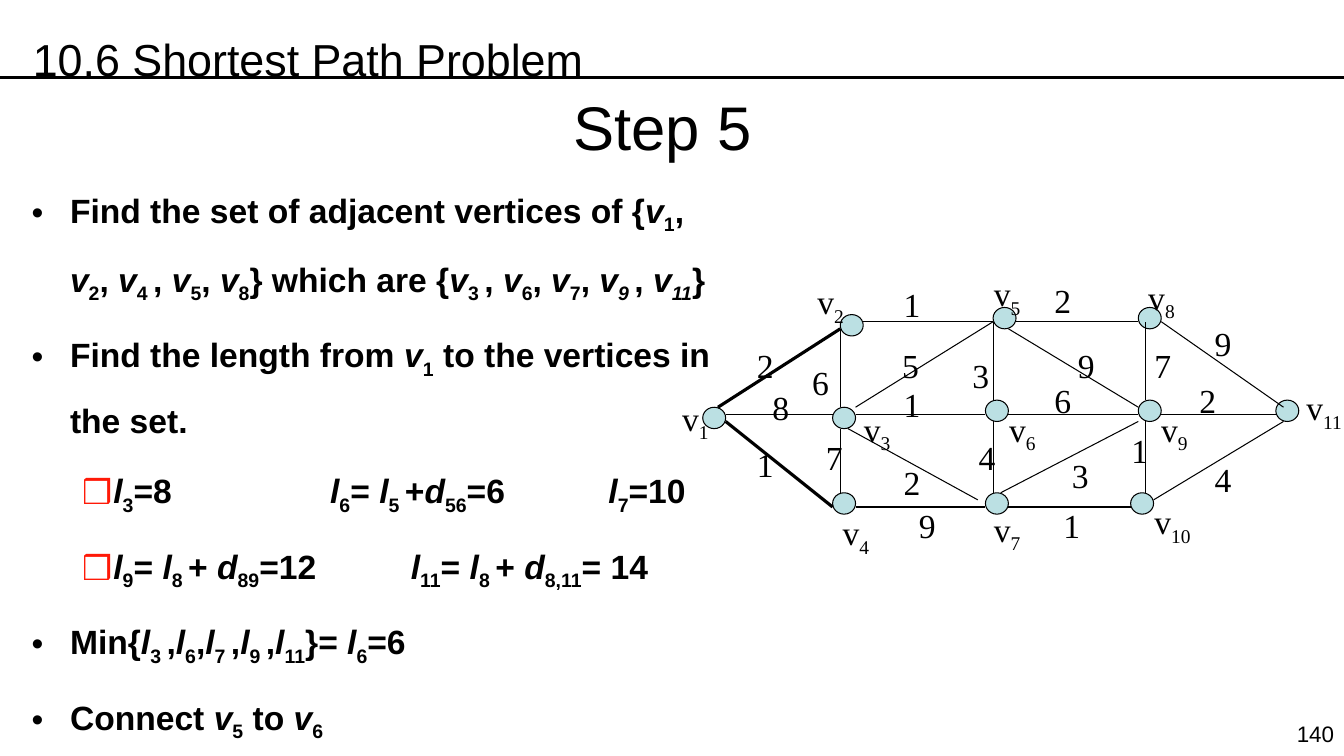
"""Build the Step 5 slide of the shortest path example."""
from dataclasses import dataclass

from lxml import etree
from pptx import Presentation
from pptx import util as u
from pptx.dml.color import RGBColor
from pptx.enum import shapes, text
from pptx.oxml import ns

INK, DISC, RED = "000000", "BBE0E3", "FF1907"
SANS, SERIF = "Arial", "Times New Roman"
LEFT, CENTER, RIGHT = text.PP_ALIGN.LEFT, text.PP_ALIGN.CENTER, text.PP_ALIGN.RIGHT
WIDE, HIGH = 13.33, 7.5


@dataclass(frozen=True)
class Grid:
    """An origin and cell size, in inches."""
    left: float
    top: float
    col: float
    row: float

    def spot(self, c: float, r: float) -> tuple:
        """Return the point at a column and row."""
        return u.Inches(self.left + c * self.col), u.Inches(self.top + r * self.row)

    def span(self, c: float, r: float) -> tuple:
        """Return the size of a number of columns and rows."""
        return u.Inches(c * self.col), u.Inches(r * self.row)


@dataclass(frozen=True)
class Edge:
    """A line between two grid points."""
    c1: float
    r1: float
    c2: float
    r2: float
    width: float = 0.75


@dataclass(frozen=True)
class Label:
    """A text at a grid point."""
    c: float
    r: float
    words: str


@dataclass(frozen=True)
class Item:
    """A list entry with its level and tab stops."""
    words: str
    level: int = 0
    tabs: tuple = ()


PAGE = Grid(0, 0, WIDE / 100, HIGH / 100)
GRAPH = Grid(6.97, 3.05, 5.76 / 76, 1.98 / 28)

NODES = [(0, 14), (18, 1), (17, 14), (38, 0), (17, 26), (56, 26),
         (57, 0), (37, 13), (57, 13), (75, 13), (37, 26)]

EDGES = [
    Edge(2, 14, 18, 3, 2.25), Edge(3, 16, 17, 28, 2.25),
    Edge(21, 2, 38, 2), Edge(41, 2, 57, 2), Edge(60, 2, 76, 14),
    Edge(3, 15, 17, 15), Edge(20, 15, 37, 15), Edge(40, 15, 57, 15), Edge(60, 15, 75, 15),
    Edge(20, 28, 37, 28), Edge(40, 28, 56, 28), Edge(59, 27, 76, 16),
    Edge(18, 26, 18, 17), Edge(18, 14, 18, 3), Edge(38, 26, 38, 16),
    Edge(38, 13, 38, 2), Edge(58, 26, 58, 16), Edge(58, 13, 58, 2),
    Edge(39, 26, 57, 16), Edge(19, 17, 36, 27), Edge(20, 14, 38, 2), Edge(40, 3, 57, 14),
]

LABELS = [
    Label(-4, 12, "v_1"), Label(13.7, -4.4, "v_2"), Label(19.8, 13.5, "v_3"),
    Label(17, 28, "v_4"), Label(36.8, -5.5, "v_5"), Label(38.8, 13.5, "v_6"),
    Label(36.8, 27.5, "v_7"), Label(57, -5, "v_8"), Label(58.7, 13.5, "v_9"),
    Label(57.8, 26.5, "v_10"), Label(77.7, 10.5, "v_11"),
    Label(5.8, 18.5, "1"), Label(7.8, 10.5, "8"), Label(5.8, 4.5, "2"),
    Label(44.7, -4.5, "2"), Label(65.7, 1.5, "9"), Label(25, -4, "1"),
    Label(25, 10, "1"), Label(44.7, 9.5, "6"), Label(63.7, 9.5, "2"),
    Label(45.9, 27, "1"), Label(65.7, 20.5, "4"), Label(14.8, 17.5, "7"),
    Label(13, 7, "6"), Label(34.8, 17.5, "4"), Label(34, 6, "3"),
    Label(54.8, 16.5, "1"), Label(57.8, 4.5, "7"), Label(27, 27, "9"),
    Label(25, 21, "2"), Label(24.8, 4.5, "5"), Label(47, 20, "3"), Label(47.8, 4.5, "9"),
]

ITEMS = [
    Item("Find the set of adjacent vertices of {/v/_1_, /v/_2_, /v/_4 _, /v/_5_, /v/_8_} "
         "which are {/v/_3 _, /v/_6_, /v/_7_, /v_9 _/, /v_11_/}"),
    Item("Find the length from /v/_1_ to the vertices in the set."),
    Item("/l/_3_=8\t/l/_6_= /l/_5 _+/d/_56_=6\t/l/_7_=10", 1, (2.96, 5.72)),
    Item("/l/_9_= /l/_8 _+ /d/_89_=12\t/l/_11_= /l/_8 _+ /d/_8,11_= 14", 1, (3.76,)),
    Item("Min{/l/_3 _,/l/_6_,/l/_7 _,/l/_9 _,/l/_11_}= /l/_6_=6"),
    Item("Connect /v/_5_ to /v/_6_"),
]


def paint(tone: str) -> RGBColor:
    """Turn a hex string into a colour."""
    return RGBColor.from_string(tone)


def style(para, size: float, face: str, bold: bool = False, align=LEFT) -> None:
    """Set the font and alignment of a paragraph."""
    para.alignment = align
    font = para.font
    font.size, font.name, font.bold = u.Pt(size), face, bold
    font.color.rgb = paint(INK)


def write(para, words: str) -> None:
    """Add runs, where / toggles italics and _ toggles subscript."""
    for i, chunk in enumerate(words.split("/")):
        for j, piece in enumerate(chunk.split("_")):
            if not piece:
                continue
            run = para.add_run()
            run.text = piece
            if i % 2:
                run.font.italic = True
            if j % 2:
                run._r.get_or_add_rPr().set("baseline", "-25000")


def place(shape, c: float, r: float, w: float, h: float) -> None:
    """Move a shape to a share of the page."""
    shape.left, shape.top = PAGE.spot(c, r)
    shape.width, shape.height = PAGE.span(w, h)
    frame = shape.text_frame
    frame.word_wrap = True
    frame.auto_size = text.MSO_AUTO_SIZE.NONE
    frame.vertical_anchor = text.MSO_ANCHOR.TOP


def mark(para, item: Item) -> None:
    """Give a list entry its indent, bullet and tabs."""
    sub = item.level > 0
    props = para._p.get_or_add_pPr()
    props.set("marL", str(u.Inches(0.81 if sub else 0.38)))
    props.set("indent", str(-u.Inches(0.31 if sub else 0.38)))
    tone = etree.SubElement(props, ns.qn("a:buClr"))
    etree.SubElement(tone, ns.qn("a:srgbClr"), val=RED if sub else INK)
    etree.SubElement(props, ns.qn("a:buChar"), char="❒" if sub else "•")
    if item.tabs:
        stops = etree.SubElement(props, ns.qn("a:tabLst"))
        for stop in item.tabs:
            etree.SubElement(stops, ns.qn("a:tab"), pos=str(u.Inches(stop)), algn="l")


def fill(frame, items: list) -> None:
    """Write the list into the body."""
    for i, item in enumerate(items):
        para = frame.add_paragraph() if i else frame.paragraphs[0]
        para.level = item.level
        para.line_spacing = 1.5
        para.space_before = u.Pt(4.8 if i else 0)
        mark(para, item)
        write(para, item.words)
        style(para, 24, SANS, bold=True)


def link(slide, grid: Grid, edge: Edge) -> None:
    """Draw a line."""
    line = slide.shapes.add_connector(
        shapes.MSO_CONNECTOR.STRAIGHT, *grid.spot(edge.c1, edge.r1), *grid.spot(edge.c2, edge.r2))
    line.line.color.rgb = paint(INK)
    line.line.width = u.Pt(edge.width)
    etree.SubElement(line._element.spPr, ns.qn("a:effectLst"))


def node(slide, c: float, r: float) -> None:
    """Draw a vertex."""
    disc = slide.shapes.add_shape(shapes.MSO_SHAPE.OVAL, *GRAPH.spot(c, r), *GRAPH.span(3, 3))
    disc.shadow.inherit = False
    disc.fill.solid()
    disc.fill.fore_color.rgb = paint(DISC)
    disc.line.color.rgb = paint(INK)
    disc.line.width = u.Pt(0.75)


def tag(slide, label: Label) -> None:
    """Draw a vertex name or an edge length."""
    wide = 5 + 1.4 * (len(label.words) - 1) if "_" in label.words else 5
    box = slide.shapes.add_textbox(*GRAPH.spot(label.c, label.r), *GRAPH.span(wide, 7))
    box.text_frame.word_wrap = False
    para = box.text_frame.paragraphs[0]
    write(para, label.words)
    style(para, 24, SERIF)


def main() -> None:
    """Build and save the slide."""
    deck = Presentation()
    deck.slide_width, deck.slide_height = u.Inches(WIDE), u.Inches(HIGH)
    slide = deck.slides.add_slide(deck.slide_layouts[1])
    link(slide, PAGE, Edge(0, 10.3, 100, 10.3, 2.25))

    title, body = slide.placeholders
    head, page = (slide.shapes.add_textbox(0, 0, 0, 0) for _ in range(2))
    place(title, 17.35, 11.1, 63.9, 16.7)
    place(body, 1.61, 21.4, 52.2, 101.5)
    place(head, 1.7, 0, 90.7, 10.8)
    place(page, 95.27, 94.6, 4.73, 4.9)
    for box, words, size, align in ((title, "Step 5", 44, CENTER),
                                    (head, "10.6 Shortest Path Problem", 32, LEFT),
                                    (page, "140", 16, RIGHT)):
        para = box.text_frame.paragraphs[0]
        write(para, words)
        style(para, size, SANS, align=align)
    head.text_frame.paragraphs[0].line_spacing = 1.5
    fill(body.text_frame, ITEMS)

    for c, r in NODES:
        node(slide, c, r)
    for edge in EDGES:
        link(slide, GRAPH, edge)
    for label in LABELS:
        tag(slide, label)
    deck.save("out.pptx")


if __name__ == "__main__":
    main()
